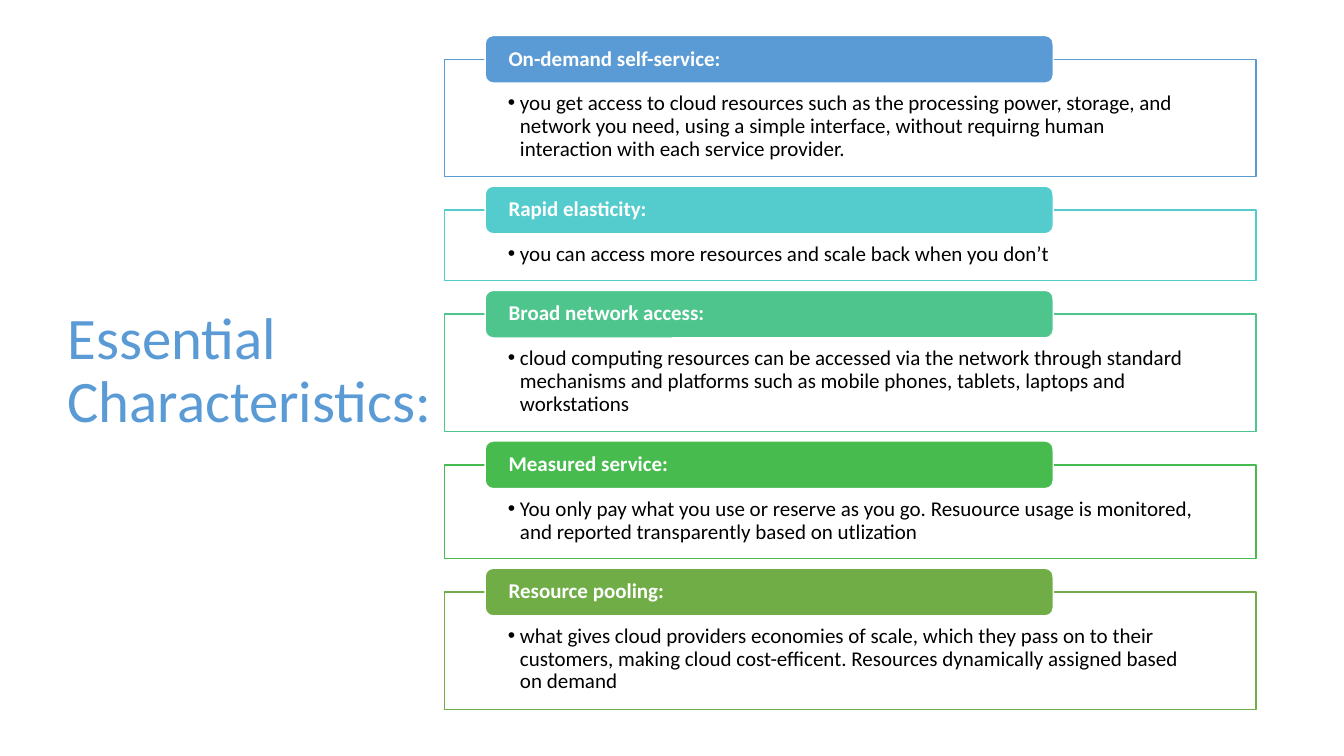
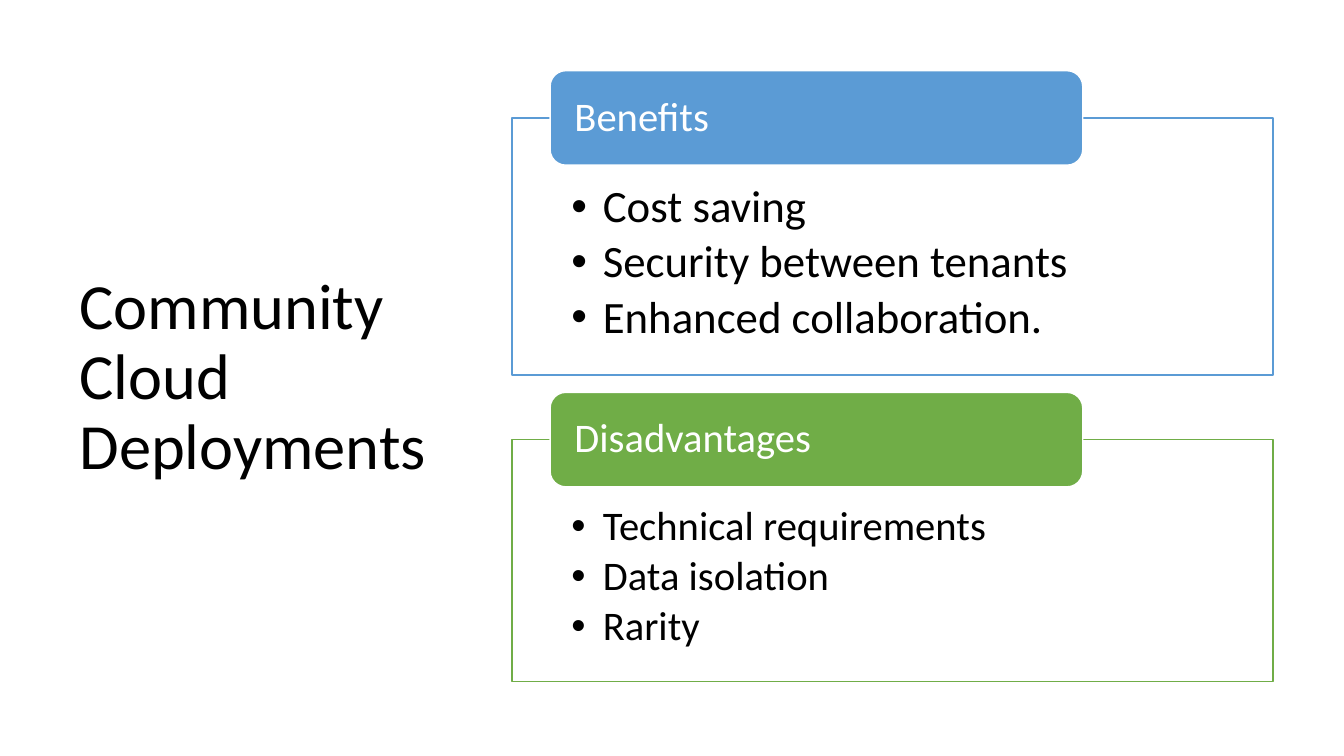
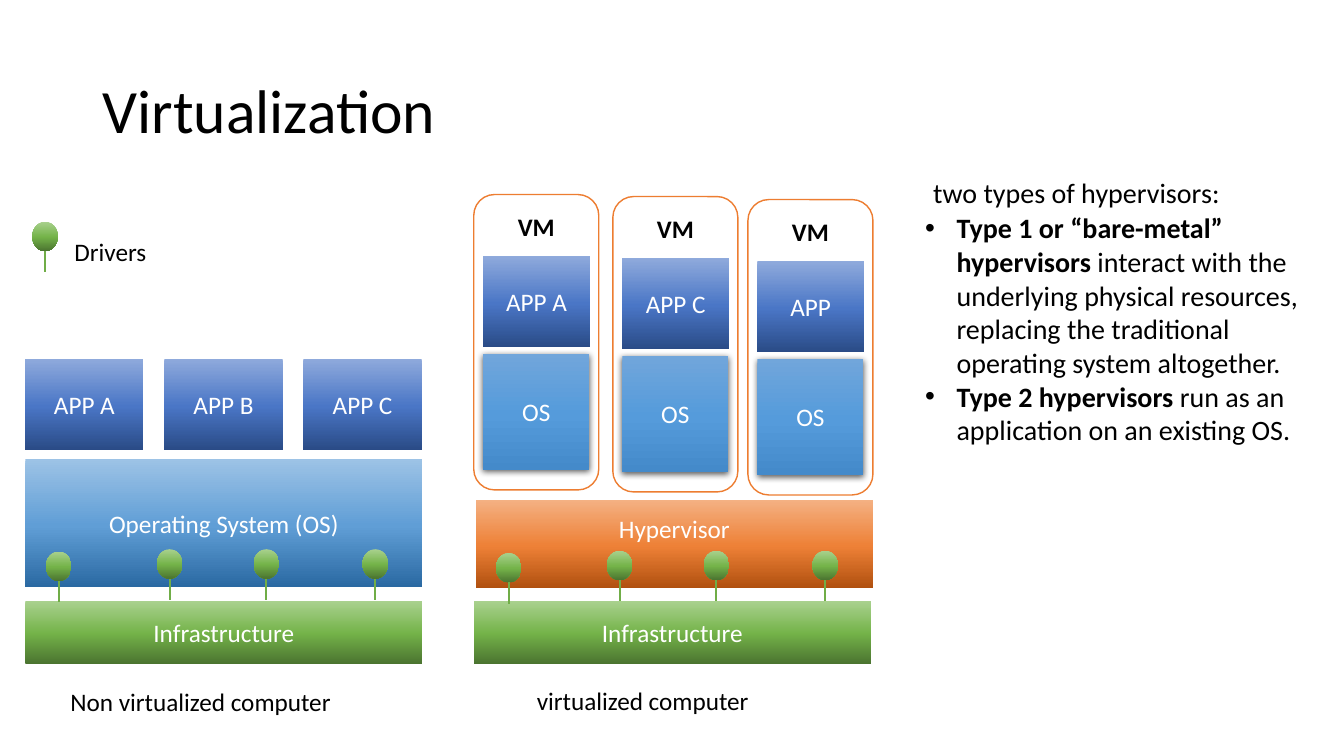
"""Build three cloud computing slides: panels, panels and a virtualization diagram."""
from copy import deepcopy

from lxml import etree
from pptx import Presentation
from pptx.dml.color import RGBColor
from pptx.enum.shapes import MSO_CONNECTOR, MSO_SHAPE
from pptx.enum.text import MSO_ANCHOR, PP_ALIGN
from pptx.oxml.ns import qn
from pptx.util import Inches, Pt

RECT, ROUND, OVAL = MSO_SHAPE.RECTANGLE, MSO_SHAPE.ROUNDED_RECTANGLE, MSO_SHAPE.OVAL
LINE = MSO_CONNECTOR.STRAIGHT
TOP, MID = MSO_ANCHOR.TOP, MSO_ANCHOR.MIDDLE
LEFT, MIDST = PP_ALIGN.LEFT, PP_ALIGN.CENTER

WIDE, HIGH = Inches(13.33), Inches(7.5)
FONT = "Calibri"

BLACK = RGBColor(0, 0, 0)
WHITE = RGBColor(255, 255, 255)
BLUE = RGBColor(0x5B, 0x9B, 0xD5)
TEAL = RGBColor(0x54, 0xCC, 0xCD)
MINT = RGBColor(0x4D, 0xC5, 0x8D)
LEAF = RGBColor(0x48, 0xBB, 0x4F)
GREEN = RGBColor(0x70, 0xAD, 0x47)
AMBER = RGBColor(0xED, 0x7D, 0x31)

MOSS = [RGBColor(0xA9, 0xD1, 0x8E), RGBColor(0x74, 0xB3, 0x49), RGBColor(0x4B, 0x74, 0x30)]
SKY = [RGBColor(0x9D, 0xC3, 0xE6), RGBColor(0x60, 0x9E, 0xD6), RGBColor(0x2A, 0x69, 0xA2)]
NAVY = [RGBColor(0x8F, 0xAA, 0xDC), RGBColor(0x4A, 0x76, 0xC6), RGBColor(0x2A, 0x4B, 0x86)]
RUST = [RGBColor(0xF4, 0xB1, 0x83), RGBColor(0xEE, 0x81, 0x37), RGBColor(0xB0, 0x50, 0x0F)]
AZURE = [RGBColor(0x71, 0xA6, 0xDB), RGBColor(0x55, 0x9B, 0xDB), RGBColor(0x44, 0x8A, 0xCA)]
STOPS = (0, 0.52, 1)

TRAITS = [
    (BLUE, 15.5, "On-demand self-service:", [
        "you get access to cloud resources such as the processing power, storage, and "
        "network you need, using a simple interface, without requirng human "
        "interaction with each service provider."], 15),
    (TEAL, 9.35, "Rapid elasticity:", [
        "you can access more resources and scale back when you don’t"], 15),
    (MINT, 15.5, "Broad network access:", [
        "cloud computing resources can be accessed via the network through standard "
        "mechanisms and platforms such as mobile phones, tablets, laptops and "
        "workstations"], 15),
    (LEAF, 12.4, "Measured service:", [
        "You only pay what you use or reserve as you go. Resuource usage is monitored, "
        "and reported transparently based on utlization"], 15),
    (GREEN, 15.5, "Resource pooling:", [
        "what gives cloud providers economies of scale, which they pass on to their "
        "customers, making cloud cost-efficent. Resources dynamically assigned based "
        "on demand"], 15),
]
SIDES = [
    (BLUE, 34, "Benefits",
     ["Cost saving", "Security between tenants", "Enhanced collaboration."], 32),
    (GREEN, 32, "Disadvantages",
     ["Technical requirements", "Data isolation", "Rarity"], 29),
]
KINDS = [
    [("Type 1 or “bare-metal” hypervisors ", True),
     ("interact with the underlying physical resources, replacing the traditional "
      "operating system altogether.", False)],
    [("Type 2 hypervisors ", True), ("run as an application on an existing OS.", False)],
]
PINS = [(0, 0), (8.25, -0.3), (15.45, -0.3), (23.55, -0.3)]
GUESTS = [(35.25, 25.73, "APP A"), (45.6, 26, "APP C"), (55.65, 26.4, "APP")]


def across(share):
    """Turn a percentage of the slide's width into a length."""
    return int(WIDE * share / 100)


def down(share):
    """Turn a percentage of the slide's height into a length."""
    return int(HIGH * share / 100)


def area(x, y, w, h):
    """Turn four percentages into left, top, width and height."""
    return across(x), down(y), across(w), down(h)


def dress(item, look):
    """Set each format value on an item."""
    for key, value in look.items():
        setattr(item, key, value)


def hang(para, dent):
    """Give a paragraph a bullet with a hanging indent."""
    props = para._p.get_or_add_pPr()
    props.set("marL", str(across(dent)))
    props.set("indent", str(-across(dent)))
    etree.SubElement(props, qn("a:buFont"), typeface="Arial")
    etree.SubElement(props, qn("a:buChar"), char="•")


def write(shape, paras, size, ink=BLACK, bold=False, dent=0, frame=None, flow=None):
    """Fill a shape with paragraphs of text or of (text, bold) runs."""
    box = shape.text_frame
    dress(box, {"word_wrap": True, "vertical_anchor": MID, **(frame or {})})
    for spot, runs in enumerate(paras):
        para = box.add_paragraph() if spot else box.paragraphs[0]
        if dent:
            hang(para, dent)
        dress(para, {"alignment": LEFT, **(flow or {})})
        for text, heavy in [(runs, bold)] if isinstance(runs, str) else runs:
            run = para.add_run()
            run.text = text
            dress(run.font, {"name": FONT, "size": Pt(size), "bold": heavy})
            run.font.color.rgb = ink


def label(slide, text, place, **look):
    """Add a text box with one paragraph."""
    write(slide.shapes.add_textbox(*area(*place)), [text], **look)


def title(slide, text, place, size, ink=BLACK):
    """Add a slide title."""
    label(slide, text, place, size=size, ink=ink, flow={"line_spacing": 0.9})


def block(slide, kind, place, fill, edge=None):
    """Add a shape with a plain fill or a gradient from top to bottom."""
    shape = slide.shapes.add_shape(kind, *area(*place))
    shape.shadow.inherit = False
    if isinstance(fill, list):
        shape.fill.gradient()
        shape.fill.gradient_angle = 270
        stops = shape._element.spPr.find(".//" + qn("a:gsLst"))
        stops.append(deepcopy(stops[0]))
        for stop, spot, tint in zip(shape.fill.gradient_stops, STOPS, fill):
            stop.position = spot
            stop.color.rgb = tint
    else:
        shape.fill.solid()
        shape.fill.fore_color.rgb = fill
    if edge is None:
        shape.line.fill.background()
    else:
        shape.line.color.rgb = edge
        shape.line.width = Pt(1)
    return shape


def tile(slide, text, place, fill, frame=None):
    """Add a gradient box with a centred white label."""
    shape = block(slide, RECT, place, fill)
    write(shape, [text], 18, WHITE, frame=frame, flow={"alignment": MIDST})
    return shape


def shade(shape):
    """Cast a soft shadow below a shape."""
    glow = shape._element.spPr.find(qn("a:effectLst"))
    cast = etree.SubElement(glow, qn("a:outerShdw"), blurRad=str(Pt(4.5)),
                            dist=str(Pt(1.5)), dir="5400000", rotWithShape="0")
    tint = etree.SubElement(cast, qn("a:srgbClr"), val=str(BLACK))
    etree.SubElement(tint, qn("a:alpha"), val="63000")


def panels(slide, rows, left, top, width, bar, gap, size, bold, dent):
    """Stack outlined panels, each with a heading bar over its top edge."""
    pad = across(width * 0.078)
    inset = across(width * 0.026)
    for tint, height, head, points, points_size in rows:
        body = block(slide, RECT, (left, top + bar / 2, width, height), WHITE, tint)
        write(body, points, points_size, dent=dent,
              frame={"vertical_anchor": TOP, "margin_left": pad, "margin_right": pad,
                     "margin_top": down(bar * 0.7), "margin_bottom": 0},
              flow={"line_spacing": 0.9, "space_after": Pt(points_size * 0.15)})
        tab = block(slide, ROUND, (left + width * 0.05, top, width * 0.7, bar), tint, WHITE)
        write(tab, [head], size, WHITE, bold,
              frame={"margin_left": inset, "margin_right": inset,
                     "margin_top": 0, "margin_bottom": 0},
              flow={"line_spacing": 0.9})
        top += bar / 2 + height + gap


def pin(slide, x, y):
    """Add a driver: a round head on a stem."""
    wide, high, stem = 1.9, 3.9, 2.8
    block(slide, OVAL, (x, y, wide, high), MOSS)
    mid, foot = across(x + wide / 2), y + high
    line = slide.shapes.add_connector(LINE, mid, down(foot), mid, down(foot + stem))
    line.line.color.rgb = GREEN
    line.line.width = Pt(1.5)
    etree.SubElement(line._element.spPr, qn("a:effectLst"))


def pins(slide, x, y):
    """Add a row of drivers."""
    for right, drop in PINS:
        pin(slide, x + right, y + drop)


def guest(slide, x, y, app):
    """Add a virtual machine with its app and system."""
    block(slide, ROUND, (x, y, 9.3, 39.07), WHITE, AMBER)
    shade(tile(slide, "OS", (x + 0.7, y + 21.07, 7.9, 15.33), AZURE))
    tile(slide, app, (x + 0.7, y + 8.13, 7.95, 12.1), NAVY)
    label(slide, "VM", (x, y + 1.6, 9.3, 5.33), size=18, bold=True,
          flow={"alignment": MIDST})


def traits(slide):
    """Draw the essential characteristics."""
    title(slide, "Essential Characteristics:", (4.28, 9.07, 31.2, 80.27), 42, BLUE)
    panels(slide, TRAITS, left=33.08, top=4.7, width=60.38, bar=6.3, gap=1.28,
           size=15, bold=True, dent=0.9)


def sides(slide):
    """Draw the benefits and disadvantages of community clouds."""
    title(slide, "Community Cloud Deployments", (5.18, 9.33, 28.05, 81.5), 46)
    panels(slide, SIDES, left=38.1, top=9.35, width=56.62, bar=12.5, gap=2.3,
           size=29, bold=False, dent=2.34)


def virtual(slide):
    """Draw a plain computer beside a virtualized one."""
    title(slide, "Virtualization", (6.9, 5.33, 86.25, 19.33), 44)
    for left in (1.88, 35.25):
        tile(slide, "Infrastructure", (left, 79.5, 29.55, 8.27), MOSS)
    tile(slide, "Operating System (OS)", (1.88, 60.67, 29.55, 17.05), SKY)
    for spot, name in enumerate(("APP A", "APP B", "APP C")):
        tile(slide, name, (1.88 + 10.35 * spot, 47.45, 8.8, 12.1), NAVY)
    tile(slide, "Hypervisor", (35.4, 66.1, 29.55, 11.75), RUST,
         {"margin_bottom": down(4.7)})
    pins(slide, 3.42, 72.95)
    pins(slide, 36.9, 73.15)
    pin(slide, 2.4, 29.33)
    for text, place in (("Drivers", (4.8, 30.53, 6.9, 5.33)),
                        ("Non virtualized computer", (4.5, 90.13, 21.5, 5.33)),
                        ("virtualized computer", (39.2, 90, 17.9, 5.33))):
        label(slide, text, place, size=18, frame={"word_wrap": False})
    for x, y, app in GUESTS:
        guest(slide, x, y, app)
    label(slide, "two types of hypervisors:", (68.7, 22.5, 29.9, 5.9), size=20,
          frame={"vertical_anchor": TOP})
    kinds = slide.shapes.add_textbox(*area(68.1, 27.25, 30.52, 32.7))
    write(kinds, KINDS, 20, dent=2.34, frame={"vertical_anchor": TOP})


def main():
    """Build and save the deck."""
    deck = Presentation()
    dress(deck, {"slide_width": WIDE, "slide_height": HIGH})
    for draw in (traits, sides, virtual):
        draw(deck.slides.add_slide(deck.slide_layouts[6]))
    deck.save("out.pptx")


if __name__ == "__main__":
    main()
